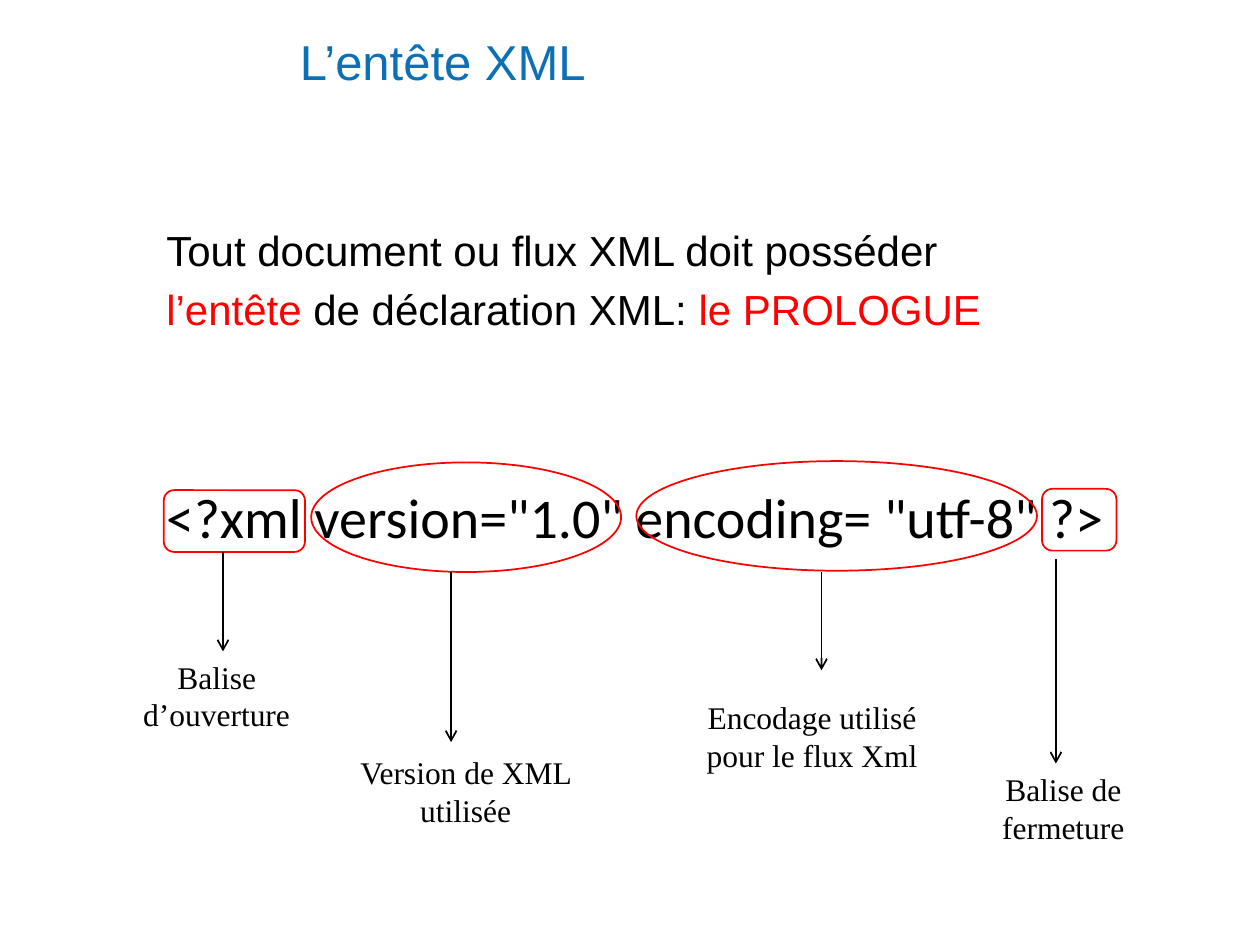
from lxml import etree
from pptx import Presentation
from pptx.dml.color import RGBColor
from pptx.enum.shapes import MSO_CONNECTOR, MSO_SHAPE
from pptx.enum.text import MSO_ANCHOR, MSO_AUTO_SIZE, PP_ALIGN
from pptx.oxml.ns import qn
from pptx.util import Inches, Pt

BLACK = RGBColor(0x00, 0x00, 0x00)
RED = RGBColor(0xFF, 0x00, 0x00)
BLUE = RGBColor(0x0C, 0x70, 0xB7)
LEFT, CENTER = PP_ALIGN.LEFT, PP_ALIGN.CENTER
TOP, MIDDLE = MSO_ANCHOR.TOP, MSO_ANCHOR.MIDDLE
FIXED, GROW = MSO_AUTO_SIZE.NONE, MSO_AUTO_SIZE.SHAPE_TO_FIT_TEXT
STRAIGHT = MSO_CONNECTOR.STRAIGHT
ROUNDED, OVAL = MSO_SHAPE.ROUNDED_RECTANGLE, MSO_SHAPE.OVAL
COLUMNS, ROWS = 100, 75


def write(paragraph, text, font="Arial", size=24, color=BLACK, align=LEFT,
          before=0, spacing=None):
    paragraph.alignment = align
    paragraph.space_before = Pt(before)
    if spacing:
        paragraph.line_spacing = spacing
    run = paragraph.add_run()
    run.text = text
    run.font.name = font
    run.font.size = Pt(size)
    run.font.color.rgb = color


class Page:
    def __init__(self, deck):
        self.column = deck.slide_width / COLUMNS
        self.row = deck.slide_height / ROWS
        self.slide = deck.slides.add_slide(deck.slide_layouts[1])
        self.shapes = self.slide.shapes

    def grid(self, *lengths):
        steps = (self.column, self.row) * 2
        return [round(length * step) for length, step in zip(lengths, steps)]

    def placeholder(self, index, area, lines, anchor=TOP, **style):
        holder = self.slide.placeholders[index]
        holder.left, holder.top, holder.width, holder.height = self.grid(*area)
        frame = holder.text_frame
        frame.auto_size = FIXED
        frame.vertical_anchor = anchor
        for number, pieces in enumerate(lines):
            paragraph = frame.add_paragraph() if number else frame.paragraphs[0]
            for text, color in pieces:
                write(paragraph, text, color=color, spacing=0.9, **style)
            properties = paragraph._p.get_or_add_pPr()
            properties.set("marL", "0")
            properties.set("indent", "0")
            etree.SubElement(properties, qn("a:buNone"))

    def text(self, area, text, **style):
        frame = self.shapes.add_textbox(*self.grid(*area)).text_frame
        frame.word_wrap = True
        frame.auto_size = GROW
        write(frame.paragraphs[0], text, **style)

    def outline(self, kind, area):
        ring = self.shapes.add_shape(kind, *self.grid(*area))
        ring.shadow.inherit = False
        ring.fill.background()
        ring.line.color.rgb = RED
        ring.line.width = Pt(1)

    def arrow_down(self, x, start, end):
        arrow = self.shapes.add_connector(STRAIGHT, *self.grid(x, start, x, end))
        arrow.line.color.rgb = BLACK
        arrow.line.width = Pt(1)
        etree.SubElement(arrow.line._get_or_add_ln(), qn("a:tailEnd"), type="arrow")
        etree.SubElement(arrow._element.spPr, qn("a:effectLst"))


def main():
    deck = Presentation()
    deck.slide_width, deck.slide_height = Inches(10), Inches(7.5)
    page = Page(deck)

    page.placeholder(0, (22.8, 1.6, 77.2, 7.1), [[("L’entête XML", BLUE)]],
                     anchor=MIDDLE, size=28)
    page.placeholder(1, (12.2, 17.8, 84.8, 11.3), [
        [("Tout document ou flux XML doit posséder", BLACK)],
        [("l’entête ", RED), ("de déclaration XML: ", BLACK), ("le PROLOGUE", RED)],
    ], before=7.5)
    page.text((12.2, 37.8, 77.2, 6.4), '<?xml version="1.0" encoding= "utf-8" ?>',
              font="Calibri", size=32)

    prologue_parts = [
        (ROUNDED, (13, 38.9, 11.2, 4.9), (17.7, 43.8, 51.7),
         (9.7, 51.7, 15, 7.1), "Balise d’ouverture"),
        (OVAL, (24.7, 36.7, 24.6, 8.7), (35.8, 45.4, 58.9),
         (27.5, 59.3, 18.9, 7.1), "Version de XML utilisée"),
        (OVAL, (50.5, 36.6, 31.8, 8.7), (65.2, 45.4, 53.2),
         (55, 54.9, 18.9, 7.1), "Encodage utilisé pour le flux Xml"),
        (ROUNDED, (82.7, 38.8, 5.9, 4.9), (83.8, 44.4, 60.6),
         (76.9, 60.6, 15, 7.1), "Balise de fermeture"),
    ]
    for kind, ring, arrow, label, meaning in prologue_parts:
        page.outline(kind, ring)
        page.arrow_down(*arrow)
        page.text(label, meaning, font="Times New Roman", size=18,
                  align=CENTER, before=3.6)

    deck.save("out.pptx")


if __name__ == "__main__":
    main()
